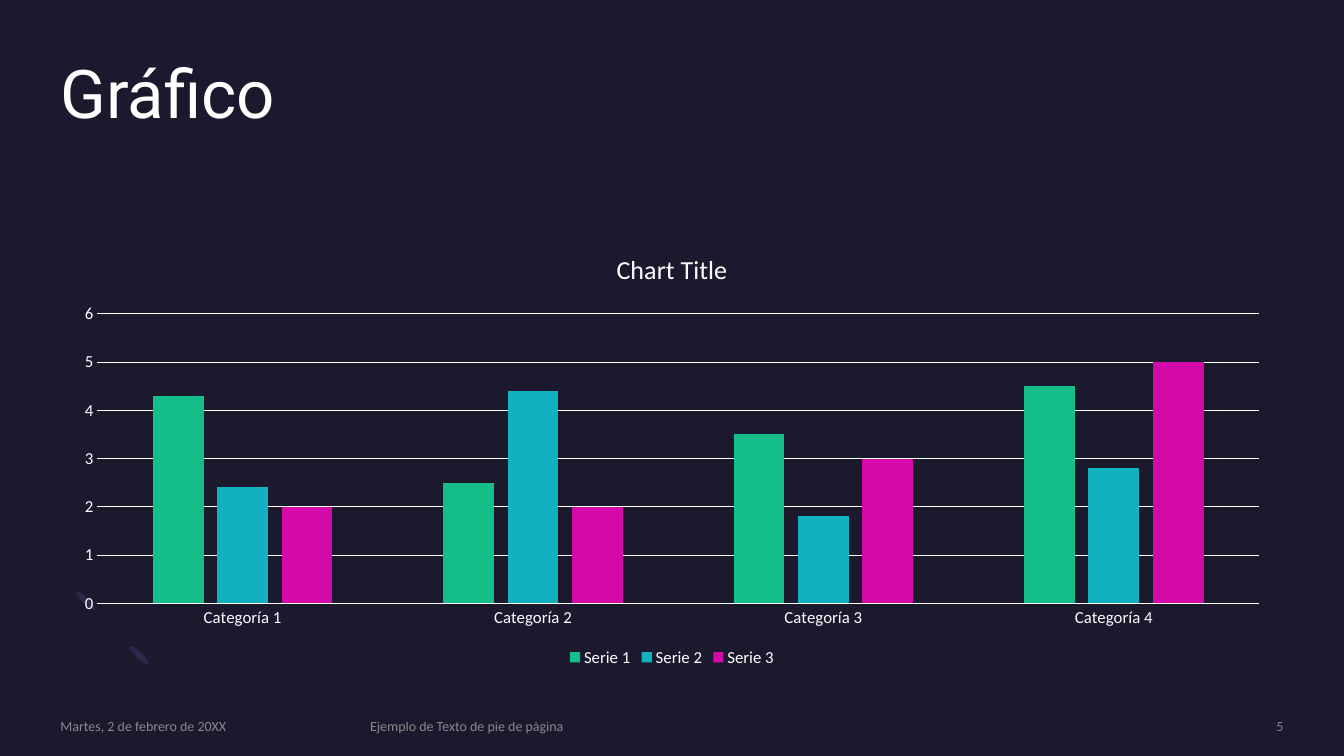
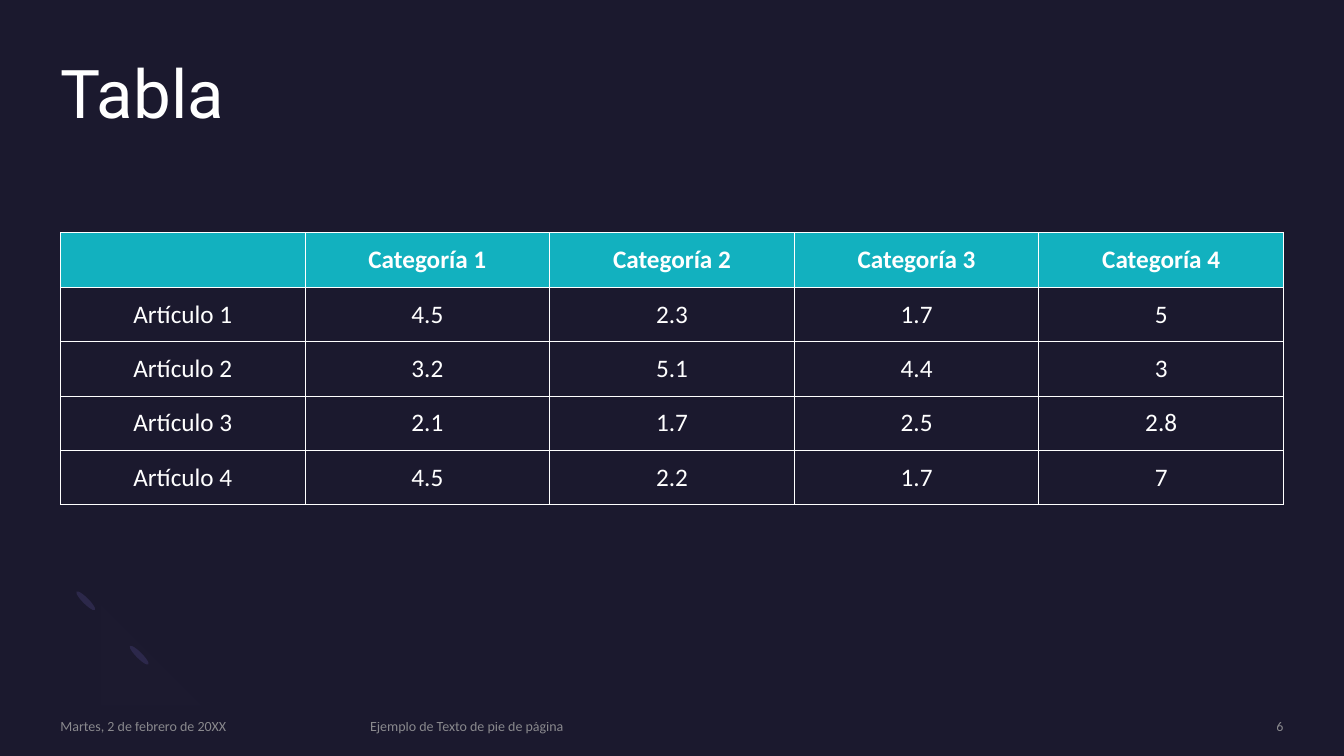
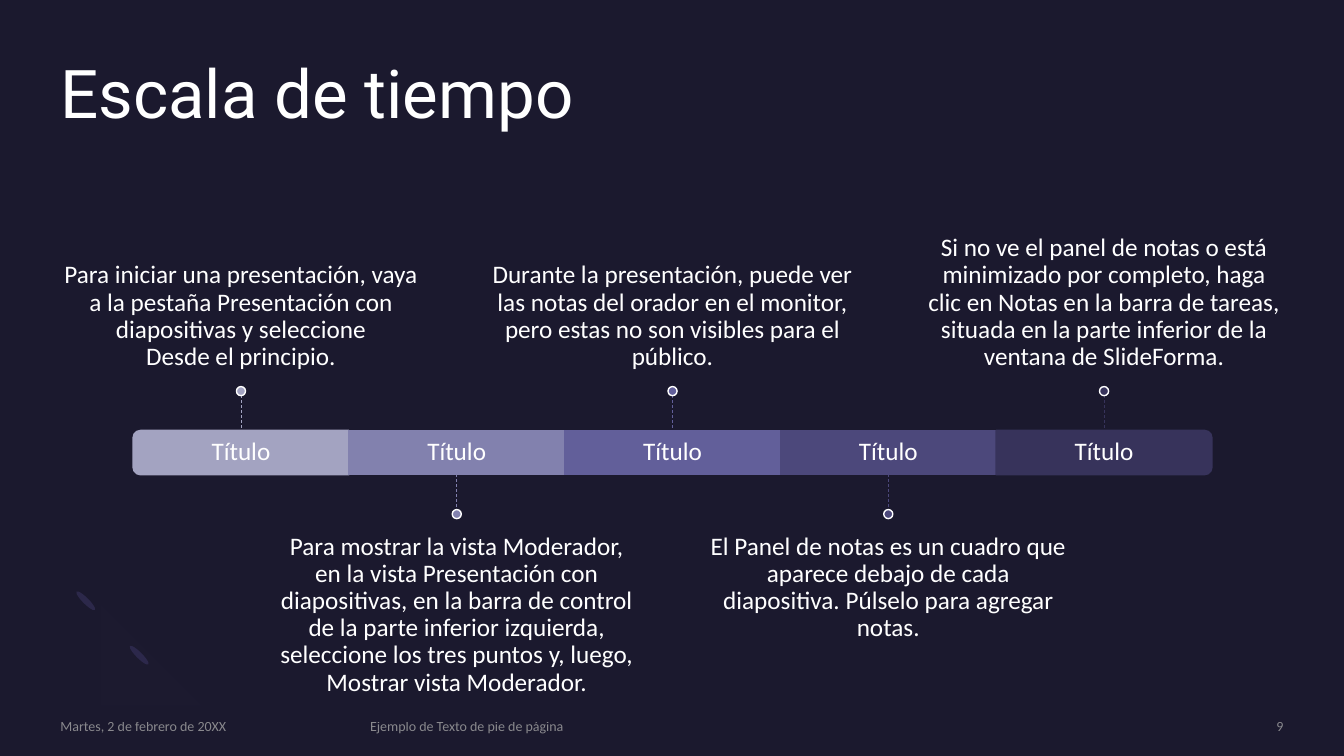
from lxml import etree
from pptx import Presentation
from pptx import util as u
from pptx.chart import data
from pptx.dml.color import RGBColor
from pptx.enum import chart, dml, shapes, text
from pptx.oxml import ns

Inches, Pt = u.Inches, u.Pt

NAVY = RGBColor(0x1B, 0x19, 0x2E)
WHITE = RGBColor(0xFF, 0xFF, 0xFF)
GRAY = RGBColor(0xA6, 0xA6, 0xA6)
GREEN = RGBColor(0x13, 0xBE, 0x89)
TEAL = RGBColor(0x12, 0xB1, 0xBF)
MAGENTA = RGBColor(0xD4, 0x0A, 0xA8)
PETAL = RGBColor(0x2C, 0x28, 0x4A)
LAVENDER = RGBColor(0x77, 0x71, 0xB2)
STEPS = [
    RGBColor(0xA3, 0xA3, 0xC1),
    RGBColor(0x82, 0x81, 0xAE),
    RGBColor(0x62, 0x5F, 0x9A),
    RGBColor(0x4C, 0x48, 0x7B),
    RGBColor(0x37, 0x33, 0x5B),
]

BODY_FONT = "Calibri"
TITLE_FONT = "Roboto"
MARGIN = 0.6
CONTENT_TOP = 2.31
CONTENT_WIDTH = 12.13
CATEGORIES = [f"Categoría {n}" for n in range(1, 5)]
LEFT, CENTER, RIGHT = text.PP_ALIGN.LEFT, text.PP_ALIGN.CENTER, text.PP_ALIGN.RIGHT
TOP, MIDDLE, BOTTOM = text.MSO_ANCHOR.TOP, text.MSO_ANCHOR.MIDDLE, text.MSO_ANCHOR.BOTTOM

SERIES = [
    ("Serie 1", (4.3, 2.5, 3.5, 4.5), GREEN),
    ("Serie 2", (2.4, 4.4, 1.8, 2.8), TEAL),
    ("Serie 3", (2, 2, 3, 5), MAGENTA),
]
ROWS = [
    ["", *CATEGORIES],
    ["Artículo 1", "4.5", "2.3", "1.7", "5"],
    ["Artículo 2", "3.2", "5.1", "4.4", "3"],
    ["Artículo 3", "2.1", "1.7", "2.5", "2.8"],
    ["Artículo 4", "4.5", "2.2", "1.7", "7"],
]
MILESTONES = [
    "Para iniciar una presentación, vaya a la pestaña Presentación con "
    "diapositivas y seleccione\vDesde el principio.",
    "Para mostrar la vista Moderador, en la vista Presentación con diapositivas, "
    "en la barra de control de la parte inferior izquierda, seleccione los tres "
    "puntos y, luego, Mostrar vista Moderador.",
    "Durante la presentación, puede ver las notas del orador en el monitor, "
    "pero estas no son visibles para el público.",
    "El Panel de notas es un cuadro que aparece debajo de cada diapositiva. "
    "Púlselo para agregar notas.",
    "Si no ve el panel de notas o está minimizado por completo, haga clic en "
    "Notas en la barra de tareas, situada en la parte inferior de la ventana "
    "de SlideForma.",
]


def set_alpha(element, percent):
    for color in element.iter(ns.qn("a:srgbClr")):
        etree.SubElement(color, ns.qn("a:alpha")).set("val", str(percent * 1000))


def style_font(font, size, color=WHITE, name=BODY_FONT, bold=False):
    font.size, font.name, font.bold = Pt(size), name, bold
    font.color.rgb = color


def style_shape(sp, fill, line=None):
    sp.shadow.inherit = False
    sp.fill.solid()
    sp.fill.fore_color.rgb = fill
    if line is None:
        sp.line.fill.background()
    else:
        sp.line.color.rgb = line
        sp.line.width = Pt(1)


def add_centered(s, kind, cx, cy, width, height, fill, line=None, rotation=0):
    sp = s.shapes.add_shape(kind, Inches(cx - width / 2), Inches(cy - height / 2),
                            Inches(width), Inches(height))
    sp.rotation = rotation
    style_shape(sp, fill, line)


def add_text(s, content, left, top, width, height, size, color=WHITE, name=BODY_FONT,
             align=LEFT, anchor=TOP, spacing=0.9, pad_top=0, pad_bottom=0):
    sp = s.shapes.add_textbox(Inches(left), Inches(top), Inches(width), Inches(height))
    tf = sp.text_frame
    tf.word_wrap = True
    tf.vertical_anchor = anchor
    tf.margin_left = tf.margin_right = 0
    tf.margin_top, tf.margin_bottom = Inches(pad_top), Inches(pad_bottom)
    tf.text = content
    p = tf.paragraphs[0]
    p.alignment, p.line_spacing = align, spacing
    for r in p.runs:
        style_font(r.font, size, color, name)
    return sp


def curve(start, c1, c2, end, count=12):
    points = []
    for i in range(count + 1):
        t = i / count
        weights = ((1 - t) ** 3, 3 * t * (1 - t) ** 2, 3 * t * t * (1 - t), t ** 3)
        points.append(tuple(sum(w * pt[axis] for w, pt in zip(weights, (start, c1, c2, end)))
                            for axis in (0, 1)))
    return points


def add_ornament(s):
    for cx, cy in ((1.38, 6.5), (0.85, 5.96)):
        add_centered(s, shapes.MSO_SHAPE.OVAL, cx, cy, 0.06, 0.26, PETAL, rotation=135)
    points = (curve((0.76, 6.59), (0.56, 6.39), (0.58, 6.05), (0.81, 5.82))
              + curve((0.99, 6), (0.87, 6.11), (0.86, 6.29), (0.96, 6.38))
              + curve((0.96, 6.38), (1.06, 6.48), (1.23, 6.47), (1.35, 6.36))
              + curve((1.52, 6.54), (1.3, 6.76), (0.95, 6.79), (0.76, 6.59)))
    builder = s.shapes.build_freeform(*points[0], scale=Inches(1))
    builder.add_line_segments(points[1:], close=True)
    sp = builder.convert_to_shape()
    style_shape(sp, LAVENDER)
    set_alpha(sp._element.spPr, 1)


def add_footer(s, number):
    for content, left, width, align in (
        ("Martes, 2 de febrero de 20XX", MARGIN, 2.88, LEFT),
        ("Ejemplo de Texto de pie de página", 3.67, 6.98, LEFT),
        (str(number), 10.88, 1.85, RIGHT),
    ):
        sp = add_text(s, content, left, 7.12, width, 0.17, 10, GRAY,
                      align=align, anchor=MIDDLE, spacing=1)
        set_alpha(sp._element, 80)


def new_slide(prs, title, number):
    s = prs.slides.add_slide(prs.slide_layouts[6])
    add_ornament(s)
    add_text(s, title, MARGIN, 0.6, CONTENT_WIDTH, 1.46, 48, name=TITLE_FONT)
    add_footer(s, number)
    return s


def style_line(line):
    line.color.rgb = WHITE
    line.width = Pt(0.75)


def add_column_chart(s):
    chart_data = data.CategoryChartData()
    chart_data.categories = CATEGORIES
    for name, values, _ in SERIES:
        chart_data.add_series(name, values)
    ch = s.shapes.add_chart(chart.XL_CHART_TYPE.COLUMN_CLUSTERED, Inches(MARGIN),
                            Inches(CONTENT_TOP), Inches(CONTENT_WIDTH), Inches(4.35),
                            chart_data).chart
    style_font(ch.font, 10)
    ch.has_title = True
    ch.chart_title.include_in_layout = False
    tf = ch.chart_title.text_frame
    tf.text = "Chart Title"
    style_font(tf.paragraphs[0].runs[0].font, 18.6)
    ch.has_legend = True
    ch.legend.position = chart.XL_LEGEND_POSITION.BOTTOM
    ch.legend.include_in_layout = False
    style_font(ch.legend.font, 12)

    for axis in (ch.category_axis, ch.value_axis):
        axis.major_tick_mark = axis.minor_tick_mark = chart.XL_TICK_MARK.NONE
        style_font(axis.tick_labels.font, 12)
    style_line(ch.category_axis.format.line)
    ch.value_axis.format.line.fill.background()
    style_line(ch.value_axis.major_gridlines.format.line)
    ch.value_axis.minimum_scale, ch.value_axis.maximum_scale = 0, 6
    ch.value_axis.major_unit = 1

    plot = ch.plots[0]
    plot.gap_width, plot.overlap, plot.vary_by_categories = 219, -27, False
    for series, (_, _, color) in zip(plot.series, SERIES):
        series.format.fill.solid()
        series.format.fill.fore_color.rgb = color


def add_borders(cell):
    tc_pr = cell._tc.get_or_add_tcPr()
    for i, side in enumerate(("lnL", "lnR", "lnT", "lnB")):
        line = etree.Element(ns.qn(f"a:{side}"), w=str(Pt(0.75)))
        fill = etree.SubElement(line, ns.qn("a:solidFill"))
        etree.SubElement(fill, ns.qn("a:srgbClr"), val=str(WHITE))
        tc_pr.insert(i, line)


def add_data_table(s):
    table = s.shapes.add_table(len(ROWS), len(ROWS[0]), Inches(MARGIN), Inches(CONTENT_TOP),
                               Inches(CONTENT_WIDTH), Inches(2.7)).table
    table.horz_banding = False
    for i, row in enumerate(ROWS):
        for j, value in enumerate(row):
            cell = table.cell(i, j)
            cell.vertical_anchor = MIDDLE
            if i == 0:
                cell.fill.solid()
                cell.fill.fore_color.rgb = TEAL
            else:
                cell.fill.background()
            add_borders(cell)
            cell.text_frame.text = value
            p = cell.text_frame.paragraphs[0]
            p.alignment = CENTER
            for r in p.runs:
                style_font(r.font, 18, bold=i == 0)


def add_dashed_line(s, x, top, bottom, color):
    line = s.shapes.add_connector(shapes.MSO_CONNECTOR.STRAIGHT, Inches(x), Inches(top),
                                  Inches(x), Inches(bottom))
    line.line.color.rgb = color
    line.line.width = Pt(0.5)
    line.line.dash_style = dml.MSO_LINE.DASH
    etree.SubElement(line._element.spPr, ns.qn("a:effectLst"))


def add_timeline(s):
    step, bar, bar_top = 2.14, 0.44, 4.27
    text_width, text_height = 3.57, 1.52
    last = len(MILESTONES) - 1
    for i, (content, color) in enumerate(zip(MILESTONES, STEPS)):
        cx = 2.39 + i * step
        cy = bar_top + bar / 2
        if i in (0, last):
            add_centered(s, shapes.MSO_SHAPE.ROUND_2_SAME_RECTANGLE, cx, cy, bar, step,
                         color, color, 270 if i == 0 else 90)
        else:
            add_centered(s, shapes.MSO_SHAPE.RECTANGLE, cx, cy, step, bar, color, color)
        add_text(s, "Título", cx - step / 2, bar_top, step, bar, 18,
                 align=CENTER, anchor=MIDDLE)

        above = i % 2 == 0
        add_text(s, content, cx - text_width / 2, CONTENT_TOP if above else 5.14,
                 text_width, text_height, 18, align=CENTER, anchor=BOTTOM if above else TOP,
                 pad_top=0 if above else 0.15, pad_bottom=0.15 if above else 0)
        line_top = 3.92 if above else 4.7
        add_dashed_line(s, cx, line_top, line_top + 0.35, color)
        add_centered(s, shapes.MSO_SHAPE.OVAL, cx, 3.88 if above else 5.1, 0.09, 0.09,
                     color, WHITE)


def main():
    prs = Presentation()
    prs.slide_width, prs.slide_height = Inches(13.33), Inches(7.5)
    background = prs.slide_master.background.fill
    background.solid()
    background.fore_color.rgb = NAVY
    add_column_chart(new_slide(prs, "Gráfico", 5))
    add_data_table(new_slide(prs, "Tabla", 6))
    add_timeline(new_slide(prs, "Escala de tiempo", 9))
    prs.save("out.pptx")


if __name__ == "__main__":
    main()
